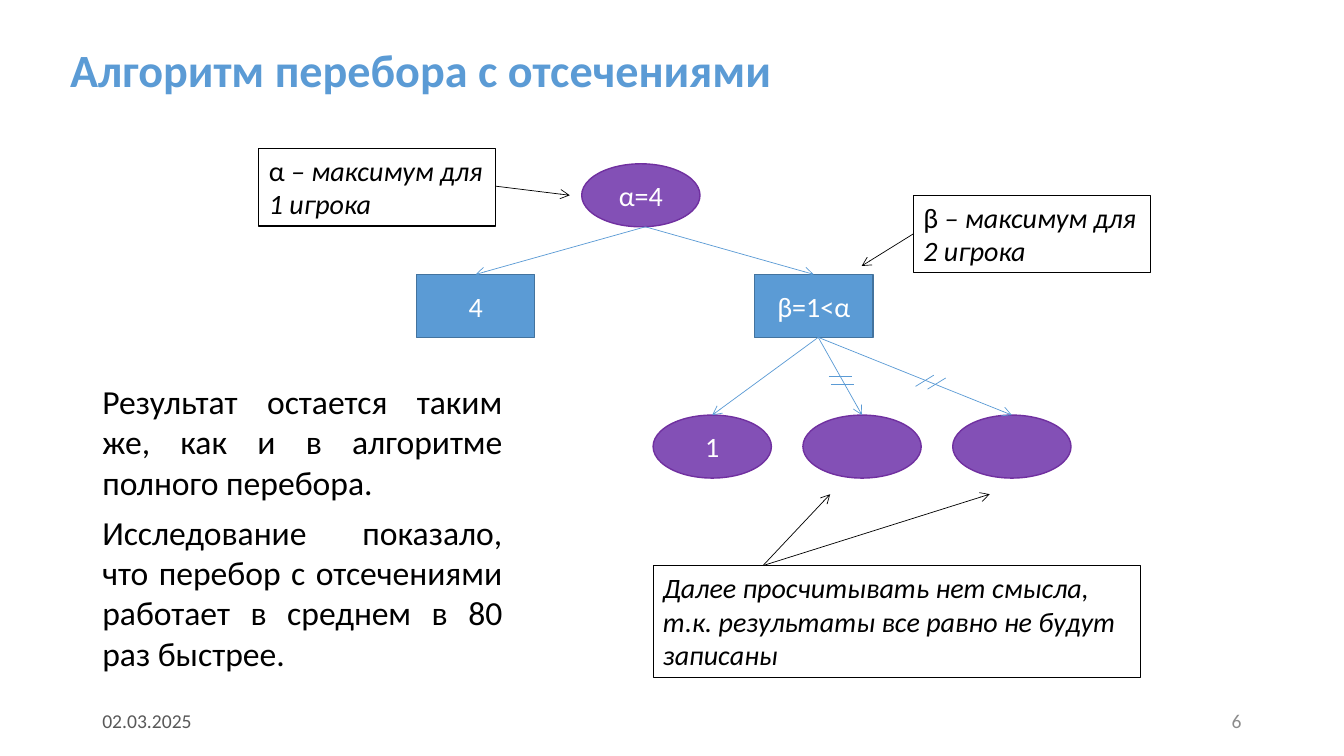
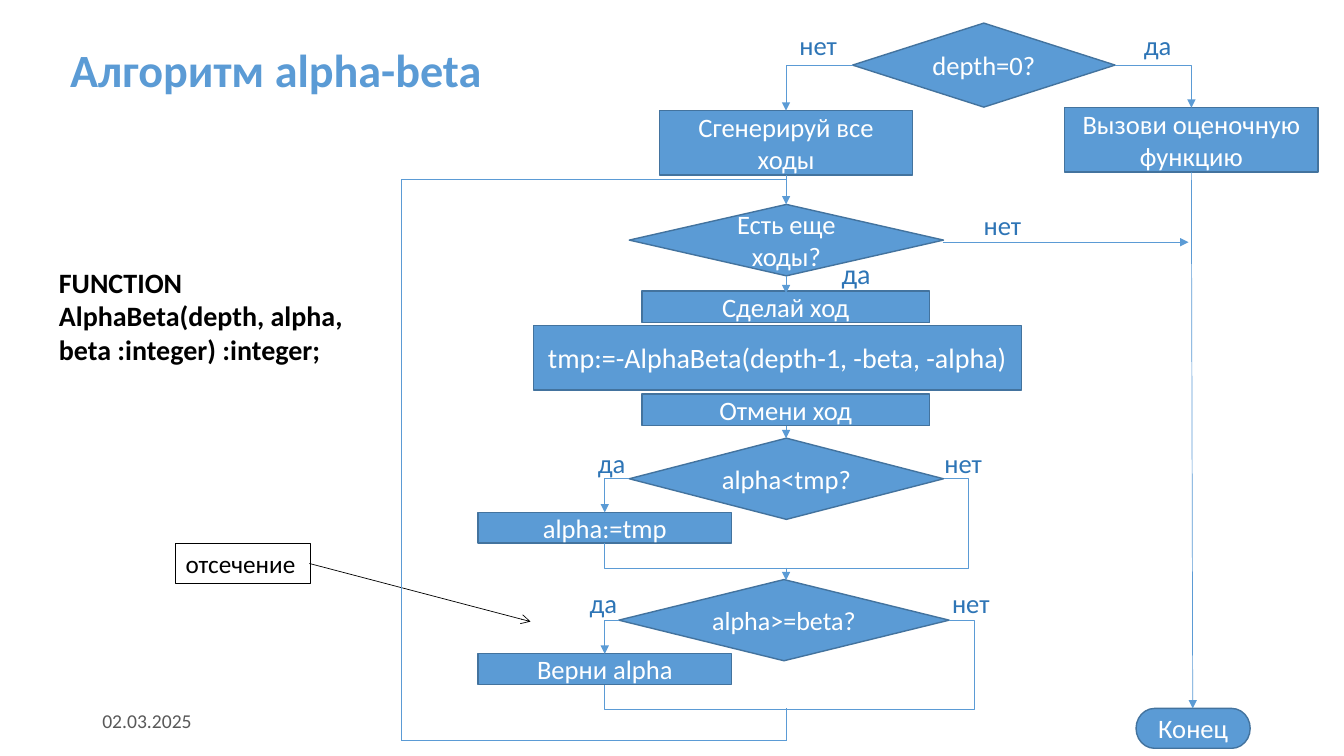
from itertools import pairwise

from lxml.etree import SubElement
from pptx import Presentation
from pptx.dml.color import RGBColor
from pptx.enum.shapes import MSO_CONNECTOR as Cxn, MSO_SHAPE as Geo
from pptx.enum.text import MSO_ANCHOR as Anc, MSO_AUTO_SIZE as Auto, PP_ALIGN as Al
from pptx.oxml.ns import qn
from pptx.util import Pt

BLUE, EDGE, LABEL = "5B9BD5", "43739E", "2E75B6"
PLUM, RIM = "8350B6", "7030A0"
BLACK, WHITE, GREY, PALE = "000000", "FFFFFF", "595959", "8C8C8C"
TOP, LEFT, BOTTOM, RIGHT = range(4)


def rgb(code):
    return RGBColor.from_string(code)


class Deck:
    font = "Calibri"
    title_fmt = {"size": Pt(33), "bold": True}
    foot_fmt = {"size": Pt(14)}

    def __init__(self):
        self.prs = Presentation()
        self.prs.slide_width, self.prs.slide_height = Pt(960), Pt(540)

    def page(self, title, num=None):
        self.slide = self.prs.slides.add_slide(self.prs.slide_layouts[6])
        head = self.text((43, 9.5, 675, 85), title, BLUE, self.title_fmt, anc=Anc.MIDDLE)
        head.text_frame.paragraphs[0].line_spacing = 0.9
        self.text((66, 500.5, 216, 29), "02.03.2025", GREY, self.foot_fmt, anc=Anc.MIDDLE)
        if num:
            self.text((678, 500.5, 216, 29), num, PALE, self.foot_fmt, Al.RIGHT, Anc.MIDDLE)

    def letter(self, shape, text, color, fmt, al, anc):
        """Fill a shape with text: a string, or (string, format) runs."""
        frame = shape.text_frame
        frame.word_wrap = True
        frame.vertical_anchor = anc
        para = frame.paragraphs[0]
        para.alignment = al
        for words, more in [(text, {})] if isinstance(text, str) else text:
            run = para.add_run()
            run.text = words
            run.font.color.rgb = rgb(color)
            for key, val in {"name": self.font, **fmt, **more}.items():
                setattr(run.font, key, val)

    def text(self, at, text, color, fmt, al=Al.LEFT, anc=Anc.TOP):
        box = self.slide.shapes.add_textbox(*map(Pt, at))
        self.letter(box, text, color, fmt, al, anc)
        return box

    def label(self, x, y, text, size=19):
        wide = 42 if text == "нет" else 35
        frame = self.text((x, y, wide, 30), text, LABEL, {"size": Pt(size)}).text_frame
        frame.word_wrap = False
        frame.auto_size = Auto.SHAPE_TO_FIT_TEXT

    def node(self, geo, at, text="", size=19, fill=BLUE, edge=EDGE):
        shape = self.slide.shapes.add_shape(geo, *map(Pt, at))
        shape.shadow.inherit = False
        shape.fill.solid()
        shape.fill.fore_color.rgb = rgb(fill)
        shape.line.color.rgb = rgb(edge)
        shape.line.width = Pt(1)
        if text:
            self.letter(shape, text, WHITE, {"size": Pt(size)}, Al.CENTER, Anc.MIDDLE)
        return shape

    def note(self, at, text, fmt):
        """Text in a thin black frame."""
        box = self.text(at, text, BLACK, fmt)
        box.line.color.rgb = rgb(BLACK)
        box.line.width = Pt(0.75)

    def finish(self, cxn, color, tip):
        cxn.line.color.rgb = rgb(color)
        cxn.line.width = Pt(0.5)
        if tip:
            SubElement(cxn._element.spPr.find(qn("a:ln")), qn("a:tailEnd"), type=tip)
        SubElement(cxn._element.spPr, qn("a:effectLst"))

    def line(self, start, end, color=BLUE, tip=None):
        cxn = self.slide.shapes.add_connector(Cxn.STRAIGHT, *map(Pt, (*start, *end)))
        self.finish(cxn, color, tip)

    def link(self, src, out, dst, into, gap=0, tip=None):
        """Bent connector between two shapes, led round them if gap is set."""
        cxn = self.slide.shapes.add_connector(Cxn.ELBOW, 0, 0, 0, 0)
        cxn.begin_connect(src, out)
        cxn.end_connect(dst, into)
        geom = cxn._element.spPr.find(qn("a:prstGeom"))
        geom.set("prst", "bentConnector4" if gap else "bentConnector2")
        if gap:
            guides = geom.find(qn("a:avLst"))
            if guides is None:
                guides = SubElement(geom, qn("a:avLst"))
            bends = -Pt(gap) / cxn.width, 1 + Pt(gap) / cxn.height
            for i, bend in enumerate(bends, 1):
                SubElement(guides, qn("a:gd"), name=f"adj{i}", fmla=f"val {round(bend * 100000)}")
        self.finish(cxn, BLUE, tip)


def tree(deck):
    deck.page("Алгоритм перебора с отсечениями", "6")
    body = {"size": Pt(24)}
    deck.text((66, 362, 300, 124),
              "Исследование показало, что перебор с отсечениями работает в среднем в 80 раз быстрее.",
              BLACK, body, Al.JUSTIFY)
    deck.text((66, 268.5, 300, 94.5),
              "Результат остается таким же, как и в алгоритме полного перебора.",
              BLACK, body, Al.JUSTIFY)

    wide, high = 84.5, 45
    oval = {"size": 20, "fill": PLUM, "edge": RIM}
    deck.node(Geo.OVAL, (415.5, 117, wide, high), "α=4", **oval)
    for x, text in (297.5, "4"), (539, "β=1<α"):
        deck.node(Geo.RECTANGLE, (x, 196, wide, high), text, 20)
        deck.line((461, 162), (x + wide / 2, 196), tip="arrow")
    for i, text in enumerate(("1", "", "")):
        x = 466.5 + 107 * i
        deck.node(Geo.OVAL, (x, 296.5, wide, high), text, **oval)
        deck.line((584.5, 241), (x + wide / 2, 296.5), tip="arrow")
    for x, y, dx, dy in (592, 268.5, 16.5, 0), (593.5, 274.5, 16.5, 0), (654, 276, 13, -8), (662.5, 278, 13, -8):
        deck.line((x, y), (x + dx, y + dy))

    note = {"size": Pt(20)}
    slant = {"italic": True}
    for x, y, sign, who in (185, 106, "α", 1), (652.5, 139.5, "β", 2):
        deck.note((x, y, 169, 55.5), [(sign, {}), (f" – максимум для {who} игрока", slant)], note)
    deck.note((466.5, 404, 348.5, 80),
              "Далее просчитывать нет смысла, т.к. результаты все равно не будут записаны", note | slant)
    for start, end in (
        ((354, 133), (407, 139.5)),
        ((652.5, 167), (615.5, 190)),
        ((545, 404), (593, 353)),
        ((545, 404), (707, 353)),
    ):
        deck.line(start, end, BLACK, "arrow")


def chart(deck):
    deck.page("Алгоритм alpha-beta")
    deck.note((125.5, 388, 96, 29), "отсечение", {"size": Pt(18)})
    deck.line((221, 402.5), (379, 444), BLACK, "arrow")
    deck.text((35, 186, 230.5, 80), "FUNCTION AlphaBeta(depth, alpha, beta :integer) :integer;",
              BLACK, {"size": Pt(20), "bold": True})

    ask, act = Geo.FLOWCHART_DECISION, Geo.FLOWCHART_PROCESS
    depth = deck.node(ask, (609, 16.5, 187.5, 60), "depth=0?")
    call = deck.node(act, (760.5, 77, 181, 46), "Вызови оценочную функцию")
    make = deck.node(act, (471, 79, 181, 46), "Сгенерируй все ходы")
    deck.node(ask, (449.5, 146, 224.5, 51), "Есть еще ходы?")
    for y, text in (208, "Сделай ход"), (281.5, "Отмени ход"):
        deck.node(act, (458.5, y, 205.5, 22.5), text)
    deck.node(act, (381, 232.5, 348.5, 46), "tmp:=-AlphaBeta(depth-1, -beta, -alpha)", 20)
    deck.node(Geo.FLOWCHART_TERMINATOR, (811.5, 506, 81.5, 28.5), "Конец")

    deck.link(depth, LEFT, make, TOP, tip="triangle")
    deck.link(depth, RIGHT, call, TOP, tip="triangle")
    for x, y, wide, test, size, step in (
        (449.5, 313, 224.5, "alpha<tmp?", 19, "alpha:=tmp"),
        (442, 414, 236, "alpha>=beta?", 18.6, "Верни alpha"),
    ):
        fork = deck.node(ask, (x, y, wide, 58), test, size)
        box = deck.node(act, (341.5, y + 53, 181, 22), step)
        deck.link(fork, LEFT, box, TOP, tip="triangle")
        deck.link(fork, RIGHT, box, BOTTOM, gap=18)

    mid = 561.5
    for start, end in (
        ((mid, 125), (mid, 146)),
        ((mid, 197), (mid, 209.5)),
        ((mid, 304), (mid, 313)),
        ((mid, 405.5), (mid, 414.5)),
        ((851, 123), (852, 506)),
        ((673.5, 173), (849, 173)),
    ):
        deck.line(start, end, tip="triangle")
    loop = (mid, 506), (mid, 529), (287, 529), (287, 128), (mid, 128)
    for start, end in pairwise(loop):
        deck.line(start, end)

    for x, y, text in (
        (564, 17, "нет"), (810, 17, "да"), (695.5, 146, "нет"),
        (420, 315.5, "да"), (667.5, 315.5, "нет"),
        (414, 416, "да"), (673, 416, "нет"),
    ):
        deck.label(x, y, text)
    deck.label(594, 180, "да", 20)


def main():
    deck = Deck()
    tree(deck)
    chart(deck)
    deck.prs.save("out.pptx")


if __name__ == "__main__":
    main()
